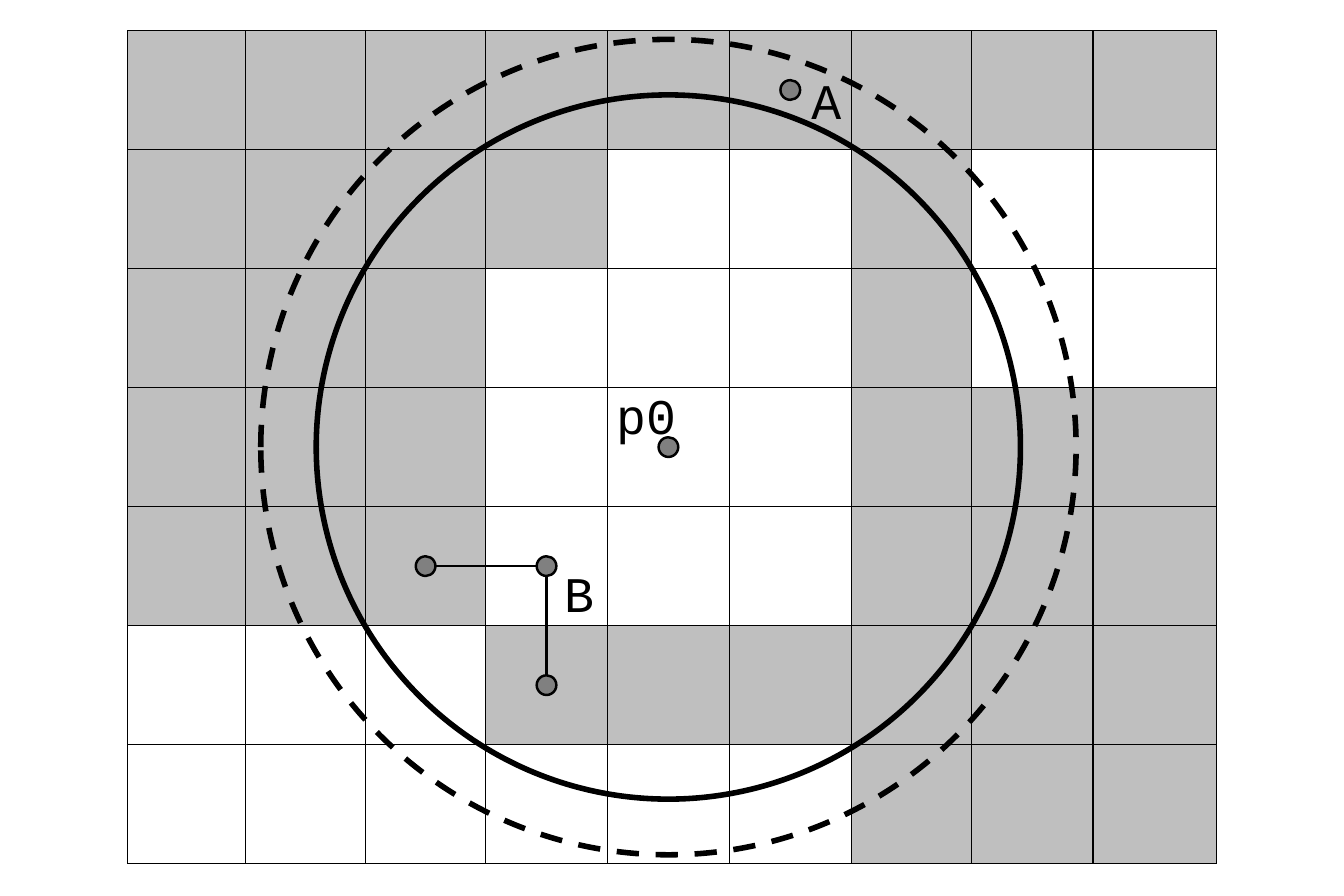
from dataclasses import dataclass

from lxml import etree
from pptx import Presentation
from pptx.dml.color import RGBColor
from pptx.enum.dml import MSO_LINE
from pptx.enum.shapes import MSO_CONNECTOR, MSO_SHAPE
from pptx.oxml.ns import qn
from pptx.shapes.autoshape import Shape
from pptx.slide import Slide
from pptx.util import Inches, Pt

RECTANGLE = MSO_SHAPE.RECTANGLE
OVAL = MSO_SHAPE.OVAL
STRAIGHT = MSO_CONNECTOR.STRAIGHT
DASH = MSO_LINE.DASH


@dataclass(frozen=True)
class Theme:
    ink: RGBColor = RGBColor(0x00, 0x00, 0x00)
    shade: RGBColor = RGBColor(0xBF, 0xBF, 0xBF)
    dot: RGBColor = RGBColor(0x80, 0x80, 0x80)
    font: str = "Courier New"
    label_size: float = 20
    grid_width: float = 0.5
    thin_width: float = 1
    circle_width: float = 2.25


@dataclass(frozen=True)
class Block:
    column: int
    row: int
    end_column: int
    end_row: int


@dataclass(frozen=True)
class Cell:
    column: int
    row: int

    @property
    def center(self) -> tuple[float, float]:
        return (
            (COLUMN_EDGES[self.column] + COLUMN_EDGES[self.column + 1]) / 2,
            (ROW_EDGES[self.row] + ROW_EDGES[self.row + 1]) / 2,
        )


@dataclass(frozen=True)
class Label:
    text: str
    left: float
    top: float


THEME = Theme()
COLUMN_EDGES = (0.71, 1.37, 2.04, 2.71, 3.39, 4.07, 4.75, 5.42, 6.1, 6.79)
ROW_COUNT = 7
GRID_TOP, GRID_BOTTOM = 0.17, 4.82
ROW_EDGES = [
    GRID_TOP + row * (GRID_BOTTOM - GRID_TOP) / ROW_COUNT
    for row in range(ROW_COUNT + 1)
]
SHADED_BLOCKS = (
    Block(3, 5, 6, 6),
    Block(0, 0, 4, 2),
    Block(4, 0, 9, 1),
    Block(6, 1, 7, 3),
    Block(6, 3, 9, 7),
    Block(0, 2, 3, 5),
)
CENTER_CELL = Cell(4, 3)
A_CELL = Cell(5, 0)
B_CELL = Cell(3, 4)
LEFT_OF_B = Cell(2, 4)
BELOW_B = Cell(3, 5)
DOT_SIZE = 0.11
INNER_CIRCLE, OUTER_CIRCLE = 3.93, 4.55
LABELS = (Label("p0", 3.34, 2.1), Label("A", 4.43, 0.34), Label("B", 3.05, 3.09))


def draw_block(page: Slide, block: Block) -> None:
    left, right = COLUMN_EDGES[block.column], COLUMN_EDGES[block.end_column]
    top, bottom = ROW_EDGES[block.row], ROW_EDGES[block.end_row]
    box = page.shapes.add_shape(
        RECTANGLE, Inches(left), Inches(top), Inches(right - left), Inches(bottom - top)
    )
    box.shadow.inherit = False
    box.fill.solid()
    box.fill.fore_color.rgb = THEME.shade
    box.line.fill.background()


def draw_line(
    page: Slide, start: tuple[float, float], end: tuple[float, float], width: float
) -> None:
    line = page.shapes.add_connector(
        STRAIGHT, *(Inches(length) for length in (*start, *end))
    )
    line.line.color.rgb = THEME.ink
    line.line.width = Pt(width)
    etree.SubElement(line._element.spPr, qn("a:effectLst"))


def draw_circle(page: Slide, cell: Cell, diameter: float, width: float) -> Shape:
    x, y = cell.center
    circle = page.shapes.add_shape(
        OVAL,
        Inches(x - diameter / 2),
        Inches(y - diameter / 2),
        Inches(diameter),
        Inches(diameter),
    )
    circle.shadow.inherit = False
    circle.fill.background()
    circle.line.color.rgb = THEME.ink
    circle.line.width = Pt(width)
    return circle


def draw_dot(page: Slide, cell: Cell) -> None:
    dot = draw_circle(page, cell, DOT_SIZE, THEME.thin_width)
    dot.fill.solid()
    dot.fill.fore_color.rgb = THEME.dot


def draw_label(page: Slide, label: Label) -> None:
    box = page.shapes.add_textbox(
        Inches(label.left), Inches(label.top), Inches(0.67), Inches(0.44)
    )
    box.text_frame.word_wrap = True
    box.text_frame.text = label.text
    font = box.text_frame.paragraphs[0].runs[0].font
    font.name = THEME.font
    font.size = Pt(THEME.label_size)
    font.color.rgb = THEME.ink


def draw_grid(page: Slide) -> None:
    for y in ROW_EDGES:
        draw_line(page, (COLUMN_EDGES[0], y), (COLUMN_EDGES[-1], y), THEME.grid_width)
    for x in COLUMN_EDGES:
        draw_line(page, (x, GRID_TOP), (x, GRID_BOTTOM), THEME.grid_width)


def main() -> None:
    deck = Presentation()
    deck.slide_width, deck.slide_height = Inches(7.5), Inches(5)
    page = deck.slides.add_slide(deck.slide_layouts[6])

    for block in SHADED_BLOCKS:
        draw_block(page, block)
    draw_grid(page)

    draw_circle(page, CENTER_CELL, INNER_CIRCLE, THEME.circle_width)
    outer = draw_circle(page, CENTER_CELL, OUTER_CIRCLE, THEME.circle_width)
    outer.line.dash_style = DASH

    for neighbor in (LEFT_OF_B, BELOW_B):
        draw_line(page, B_CELL.center, neighbor.center, THEME.thin_width)
    for cell in (CENTER_CELL, A_CELL, B_CELL, BELOW_B, LEFT_OF_B):
        draw_dot(page, cell)
    for label in LABELS:
        draw_label(page, label)

    deck.save("out.pptx")


if __name__ == "__main__":
    main()
